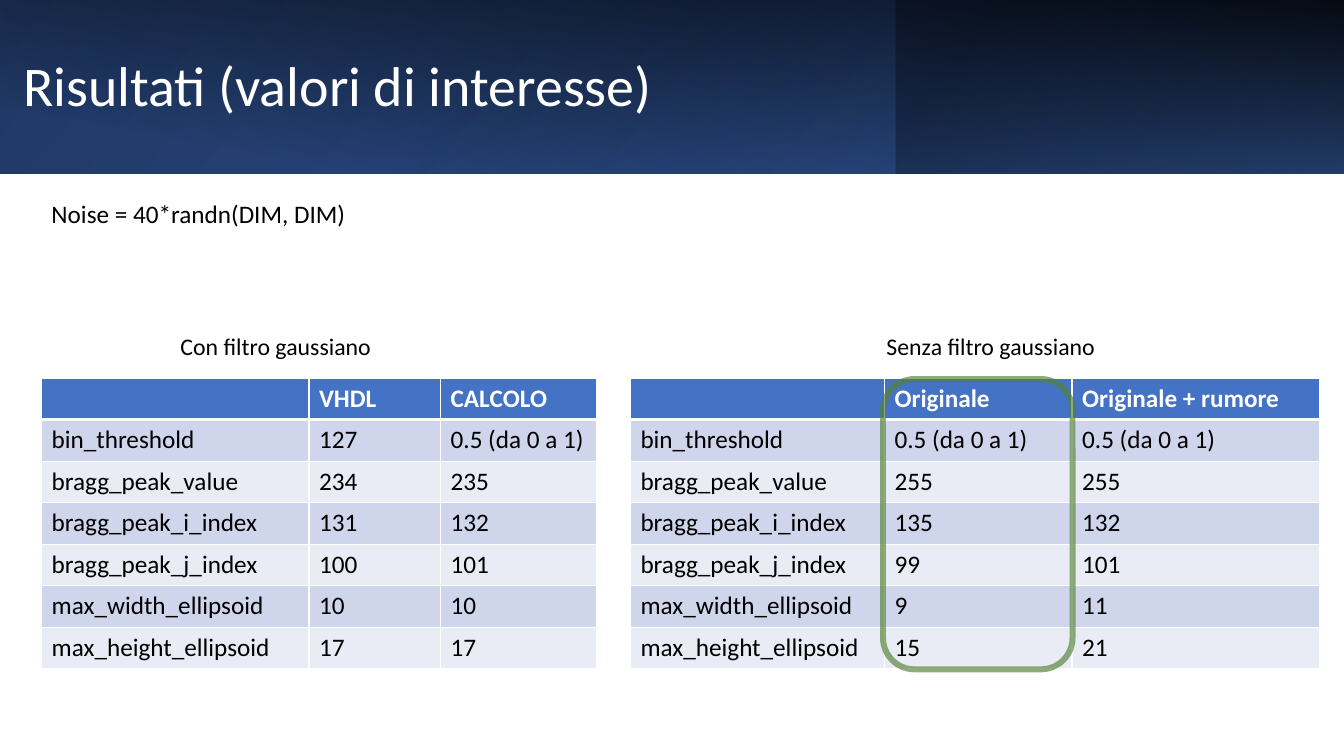
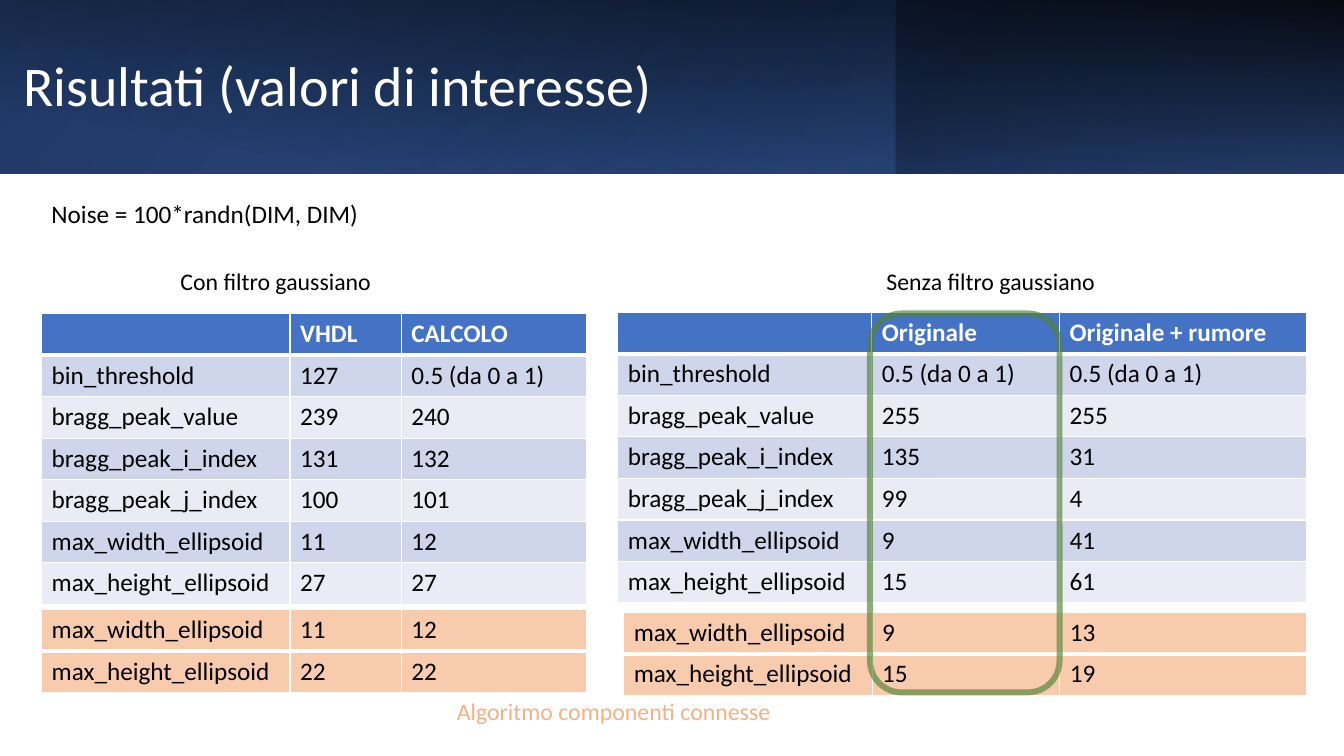
import pptx
import pptx.util
import pptx.dml.color
import pptx.enum.shapes
import pptx.enum.text
import pptx.oxml.ns
from lxml import etree

Pt = pptx.util.Pt
RGB = pptx.dml.color.RGBColor
qn = pptx.oxml.ns.qn
SHAPES = pptx.enum.shapes.MSO_SHAPE
ALIGN = pptx.enum.text.PP_ALIGN
MIDDLE = pptx.enum.text.MSO_ANCHOR.MIDDLE

# Colours
WHITE = RGB(0xFF, 0xFF, 0xFF)
BLACK = RGB(0, 0, 0)
NAVY = RGB(0x20, 0x38, 0x64)
ROYAL = RGB(0x2F, 0x55, 0x97)
BLUE = RGB(0x44, 0x72, 0xC4)
DARK = RGB(0xCF, 0xD5, 0xEA)
LIGHT = RGB(0xE9, 0xEB, 0xF5)
PEACH = RGB(0xF8, 0xCB, 0xAD)
ORANGE = RGB(0xF4, 0xB1, 0x83)
GREEN = RGB(0x54, 0x82, 0x35)

# Text formats
TITLE = {"name": "Calibri", "size": Pt(40), "color": WHITE}
PLAIN = {"name": "Calibri", "size": Pt(18), "color": BLACK, "bold": False}
HEAD = {**PLAIN, "color": WHITE, "bold": True}
LABEL = {**PLAIN, "size": Pt(17)}
NOTE = {**LABEL, "color": ORANGE}

WIDTH, HEIGHT, BAND = 960, 540, 124
ROW = 29.7
NAMES = ["bin_threshold", "bragg_peak_value", "bragg_peak_i_index",
         "bragg_peak_j_index", "max_width_ellipsoid", "max_height_ellipsoid"]
RANGE = "0.5 (da 0 a 1)"


def style(font, look):
    for key, value in look.items():
        if key == "color":
            font.color.rgb = value
        else:
            setattr(font, key, value)


def tint(parent, color, alpha):
    node = etree.SubElement(parent, qn("a:srgbClr"), val=str(color))
    etree.SubElement(node, qn("a:alpha"), val=str(alpha * 1000))


def write(slide, box, text, look, align=ALIGN.LEFT, before=10):
    shape = slide.shapes.add_textbox(*map(Pt, box))
    frame = shape.text_frame
    frame.word_wrap = True
    frame.vertical_anchor = MIDDLE
    para = frame.paragraphs[0]
    for key, value in {"alignment": align, "line_spacing": 0.9,
                       "space_before": Pt(before)}.items():
        setattr(para, key, value)
    run = para.add_run()
    run.text = text
    style(run.font, look)
    return frame


def blend(slide, box, stops, angle, turn=0, flip=False):
    shape = slide.shapes.add_shape(SHAPES.RECTANGLE, *map(Pt, box))
    shape.shadow.inherit = False
    shape.line.fill.background()
    shape.fill.background()
    shape.rotation = turn
    props = shape._element.spPr
    if flip:
        props.find(qn("a:xfrm")).set("flipH", "1")
    grad = etree.Element(qn("a:gradFill"), rotWithShape="1")
    stack = etree.SubElement(grad, qn("a:gsLst"))
    for pos, color, alpha in stops:
        stop = etree.SubElement(stack, qn("a:gs"), pos=str(pos * 1000))
        tint(stop, color, alpha)
    etree.SubElement(grad, qn("a:lin"), ang=str(angle * 60000), scaled="0")
    props.replace(props.find(qn("a:noFill")), grad)


# Title band: four layered gradients and the title
def band(slide, box, title):
    x, y, w, h = box
    third = w / 3
    blend(slide, box, [(0, NAVY, 100), (100, ROYAL, 100)], 140, flip=True)
    blend(slide, (x + 2 * third, y, third, h),
          [(19, NAVY, 68), (100, BLUE, 79)], 320, 180, True)
    blend(slide, (x + (w - h) / 2, y - (w - h) / 2, h, w),
          [(16, BLACK, 0), (99, BLACK, 87)], 190, 90)
    blend(slide, (x + 301, y, 2 * third - 301, h),
          [(0, BLUE, 17), (74, NAVY, 0)], 240)
    write(slide, (x + 9.5, y + 28, 604, 70.5), title, TITLE, before=0)


# Headings of both tables, parted by one tab stop
def labels(slide, box):
    frame = write(slide, box, "Con filtro gaussiano\tSenza filtro gaussiano", LABEL)
    frame.margin_left = Pt(14.2)
    props = frame.paragraphs[0]._p.get_or_add_pPr()
    tabs = etree.SubElement(props, qn("a:tabLst"))
    etree.SubElement(tabs, qn("a:tab"), pos=str(Pt(504.3)), algn="l")


def edge(cell, base):
    props = cell._tc.get_or_add_tcPr()
    for side, width in {"L": 1, "R": 1, "T": 1, "B": base}.items():
        line = etree.SubElement(props, qn("a:ln" + side), w=str(Pt(width)))
        tint(etree.SubElement(line, qn("a:solidFill")), WHITE, 100)


# Table whose first row has a thick lower edge
def grid(slide, spot, cols, rows, fills, head=True):
    box = (*spot, sum(cols), ROW * len(rows))
    table = slide.shapes.add_table(len(rows), len(cols), *map(Pt, box)).table
    table.first_row = head
    for col, width in zip(table.columns, cols):
        col.width = Pt(width)
    for i, row in enumerate(rows):
        table.rows[i].height = Pt(ROW)
        for j, text in enumerate(row):
            cell = table.cell(i, j)
            edge(cell, 1 if i else 3)
            cell.fill.solid()
            cell.fill.fore_color.rgb = fills[i]
            if text:
                run = cell.text_frame.paragraphs[0].add_run()
                run.text = text
                style(run.font, HEAD if head and i == 0 else PLAIN)


def values(slide, spot, cols, heads, left, right):
    rows = [["", *heads], *zip(NAMES, left, right)]
    grid(slide, spot, cols, rows, [BLUE] + [DARK, LIGHT] * 3)


def extra(slide, spot, cols, left, right):
    grid(slide, spot, cols, list(zip(NAMES[-2:], left, right)), [PEACH] * 2, False)


# Green outline around the reference column
def ring(slide, box):
    shape = slide.shapes.add_shape(SHAPES.ROUNDED_RECTANGLE, *map(Pt, box))
    shape.shadow.inherit = False
    shape.fill.background()
    shape.line.width = Pt(4.25)
    shape.line.color.rgb = GREEN
    color = shape.line._ln.find(".//" + qn("a:srgbClr"))
    etree.SubElement(color, qn("a:alpha"), val="65000")


def start(deck, noise, top):
    slide = deck.slides.add_slide(deck.slide_layouts[6])
    band(slide, (0, 0, WIDTH, BAND), "Risultati (valori di interesse)")
    write(slide, (29.7, 121, 681, 65.5), f"Noise = {noise}*randn(DIM, DIM)", PLAIN)
    labels(slide, (114.7, top, 681, 65.5))
    return slide


deck = pptx.Presentation()
deck.slide_width, deck.slide_height = Pt(WIDTH), Pt(HEIGHT)
TOOLS = ["VHDL", "CALCOLO"]
INPUTS = ["Originale", "Originale + rumore"]
BASE = [RANGE, "255", "135", "99", "9", "15"]
WIDE = [181.5, 134, 176.5]

# Slide 1: low noise
slide = start(deck, 40, 215.6)
values(slide, (29.7, 270), [191, 94, 111.5], TOOLS,
       ["127", "234", "131", "100", "10", "17"],
       [RANGE, "235", "132", "101", "10", "17"])
values(slide, (450.3, 270), WIDE, INPUTS, BASE,
       [RANGE, "255", "132", "101", "11", "21"])
ring(slide, (630.7, 270.7, 135.4, 207.4))

# Slide 2: high noise, with connected components
slide = start(deck, 100, 169)
slim = [177.5, 79.5, 132.5]
values(slide, (441.3, 223), WIDE, INPUTS, BASE,
       [RANGE, "255", "31", "4", "41", "61"])
values(slide, (29.7, 224), slim, TOOLS,
       ["127", "239", "131", "100", "11", "27"],
       [RANGE, "240", "132", "101", "12", "27"])
extra(slide, (29.7, 435.5), slim, ["11", "22"], ["12", "22"])
extra(slide, (445.5, 437.3), [177.5, *WIDE[1:]], BASE[-2:], ["13", "19"])
ring(slide, (621.4, 223.9, 135.4, 270.7))
write(slide, (287.5, 476.5, 301.7, 65.5), "Algoritmo componenti connesse",
      NOTE, ALIGN.CENTER)

deck.save("out.pptx")
